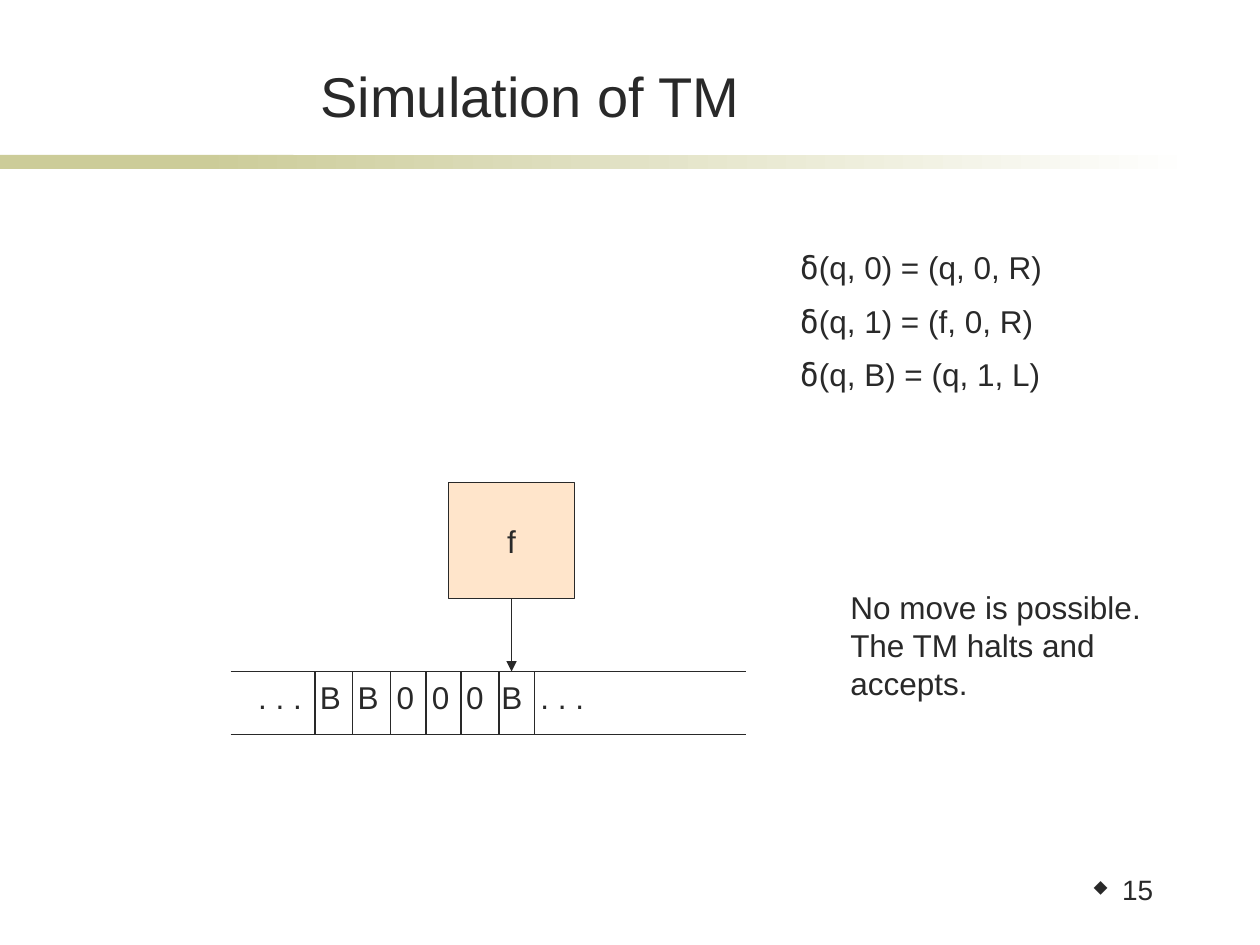
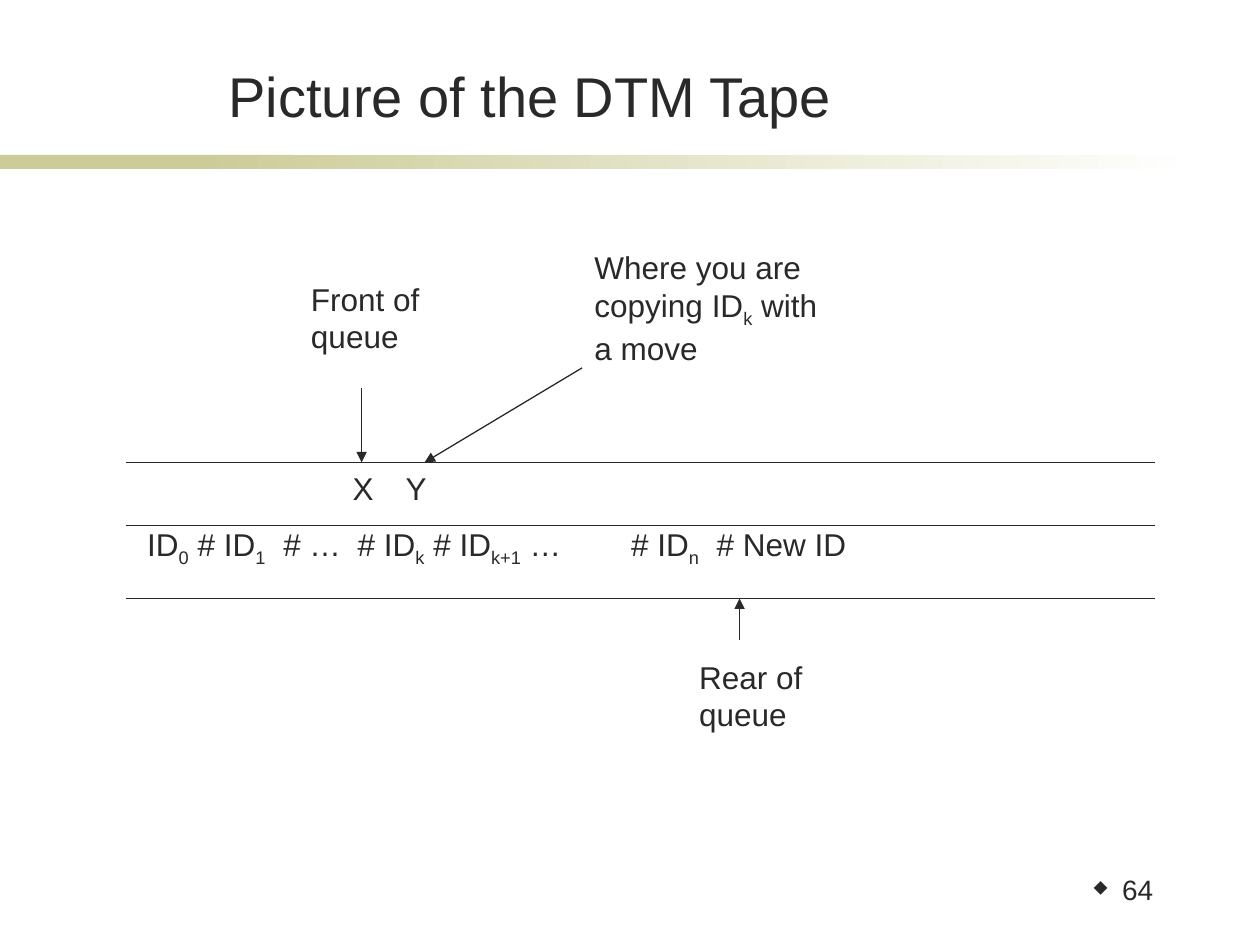
from dataclasses import dataclass

from lxml import etree
from pptx import Presentation
from pptx.dml.color import RGBColor
from pptx.enum import shapes, text
from pptx.oxml.ns import qn
from pptx.util import Emu, Pt

PX = 9144  # EMU per px, 100 px to the inch
LEFT, CENTER, RIGHT = text.PP_ALIGN.LEFT, text.PP_ALIGN.CENTER, text.PP_ALIGN.RIGHT
TOP, MIDDLE, BOTTOM = (text.MSO_ANCHOR.TOP, text.MSO_ANCHOR.MIDDLE,
                       text.MSO_ANCHOR.BOTTOM)


@dataclass(frozen=True)
class Theme:
    ink: str = "292929"
    band: str = "CCCC99"
    paper: str = "FFFFFF"
    state: str = "FFCC99"
    font: str = "Arial"
    greek: str = "DejaVu Sans Mono"
    bullet_font: str = "Wingdings"
    diamond: str = "u"  # a diamond in the bullet font
    title_size: int = 32
    body_size: int = 18
    number_size: int = 16
    line_width: float = 0.75


THEME = Theme()
SUBSCRIPT = dict(base=-25)
GREEK = dict(font=THEME.greek)


def px(n):
    return Emu(n * PX)


def rgb(color):
    return RGBColor.from_string(color)


def child(parent, tag, **attrs):
    el = etree.SubElement(parent, qn(tag))
    for key, value in attrs.items():
        el.set(key, str(value))
    return el


def write(tf, words, size=THEME.body_size, align=LEFT, anchor=TOP, leading=1.0,
          before=0, tabs=(), bullet=None, marked=SUBSCRIPT):
    """One paragraph per line; pieces between ~ signs take the marked format."""
    tf.word_wrap = True
    tf.vertical_anchor = anchor
    for i, line in enumerate(words.split("\n")):
        p = tf.paragraphs[0] if i == 0 else tf.add_paragraph()
        p.alignment, p.line_spacing = align, leading
        if i and before:
            p.space_before = Pt(before)
        pPr = p._p.get_or_add_pPr()
        if bullet:
            child(child(pPr, "a:buClr"), "a:srgbClr", val=THEME.ink)
            child(pPr, "a:buSzPct", val=60000)
            child(pPr, "a:buFont", typeface=THEME.bullet_font, pitchFamily=2, charset=2)
            child(pPr, "a:buChar", char=bullet)
        if tabs:
            stops = child(pPr, "a:tabLst")
            for tab in tabs:
                child(stops, "a:tab", pos=px(tab), algn="l")
        for j, piece in enumerate(line.split("~")):
            if not piece:
                continue
            style = marked if j % 2 else {}
            r = p.add_run()
            r.text = piece
            r.font.size = Pt(size)
            r.font.name = style.get("font", THEME.font)
            r.font.color.rgb = rgb(THEME.ink)
            if "base" in style:
                r.font._element.set("baseline", str(style["base"] * 1000))


class Deck:
    def __init__(self, theme):
        self.theme = theme
        self.prs = Presentation()
        self.prs.slide_width, self.prs.slide_height = px(1000), px(750)
        self.s = None

    def slide(self, title, number):
        self.s = self.prs.slides.add_slide(self.prs.slide_layouts[6])
        # Band under the title
        self.rect(0, 123, 233, 11, self.theme.band)
        fade = self.rect(158, 123, 792, 11, self.theme.band).fill
        fade.gradient()
        fade.gradient_angle = 0
        for stop, color in zip(fade.gradient_stops, (self.theme.band, self.theme.paper)):
            stop.color.rgb = rgb(color)
        # Title and slide number
        self.text(114, 44, 614, 63, title, size=self.theme.title_size,
                  align=CENTER, anchor=BOTTOM)
        self.text(823, 691, 102, 50, number, size=self.theme.number_size,
                  align=RIGHT, leading=0.9, bullet=self.theme.diamond)

    def text(self, x, y, w, h, words, **fmt):
        sp = self.s.shapes.add_textbox(px(x), px(y), px(w), px(h))
        write(sp.text_frame, words, **fmt)

    def rect(self, x, y, w, h, color, opacity=100, outline=False):
        sp = self.s.shapes.add_shape(shapes.MSO_SHAPE.RECTANGLE, px(x), px(y), px(w), px(h))
        sp.shadow.inherit = False
        sp.fill.solid()
        sp.fill.fore_color.rgb = rgb(color)
        if opacity < 100:
            fill = sp._element.spPr.find(qn("a:solidFill"))
            child(fill[0], "a:alpha", val=opacity * 1000)
        if outline:
            sp.line.color.rgb = rgb(self.theme.ink)
            sp.line.width = Pt(self.theme.line_width)
        else:
            sp.line.fill.background()
        return sp

    def line(self, x1, y1, x2, y2, arrow=False):
        cn = self.s.shapes.add_connector(shapes.MSO_CONNECTOR.STRAIGHT,
                                         px(x1), px(y1), px(x2), px(y2))
        cn.line.color.rgb = rgb(self.theme.ink)
        cn.line.width = Pt(self.theme.line_width)
        if arrow:
            child(cn.line._get_or_add_ln(), "a:tailEnd", type="triangle")
        child(cn._element.spPr, "a:effectLst")

    def rails(self, left, right, *heights):
        for y in heights:
            self.line(left, y, right, y)


def simulation(deck):
    deck.slide("Simulation of TM", "15")
    # Transition rules and outcome
    deck.text(625, 192, 317, 170,
              "~δ~(q, 0) = (q, 0, R)\n~δ~(q, 1) = (f, 0, R)\n~δ~(q, B) = (q, 1, L)",
              before=9, marked=GREEK)
    deck.text(665, 462, 322, 130, "No move is possible.\nThe TM halts and\naccepts.")
    # Tape with its cells
    top, bottom = 533, 583
    deck.rails(183, 592, top, bottom)
    for x in (250, 280, 310, 338, 366, 396, 424):
        deck.line(x, top, x, bottom)
    deck.text(195, top, 281, 40, "\t".join([". . .", *"BB000B", ". . ."]),
              tabs=(49, 79, 110, 138, 165, 193, 224))
    # State and head
    state = deck.rect(356, 383, 100, 92, deck.theme.state, opacity=50, outline=True)
    write(state.text_frame, "f", align=CENTER, anchor=MIDDLE)
    deck.line(406, 475, 406, top, arrow=True)


def dtm_tape(deck):
    deck.slide("Picture of the DTM Tape", "64")
    # Two-track tape
    top, middle, bottom = 367, 417, 475
    deck.rails(100, 917, top, middle, bottom)
    deck.text(107, 412, 833, 50,
              "ID~0~ # ID~1~\t# …\t# ID~k~ # ID~k+1~ …\t# ID~n~\t# New ID",
              tabs=(108, 167, 384, 452))
    for x, mark in ((270, "X"), (312, "Y")):
        deck.text(x, top, 39, 50, mark)
    # Labels and pointers
    deck.text(237, 217, 136, 90, "Front of\nqueue")
    deck.line(287, 308, 287, top, arrow=True)
    deck.text(462, 192, 273, 130, "Where you are\ncopying ID~k~ with\na move")
    deck.line(462, 292, 337, top, arrow=True)
    deck.text(545, 517, 127, 90, "Rear of\nqueue")
    deck.line(587, 508, 587, bottom, arrow=True)


def main():
    deck = Deck(THEME)
    simulation(deck)
    dtm_tape(deck)
    deck.prs.save("out.pptx")


if __name__ == "__main__":
    main()
